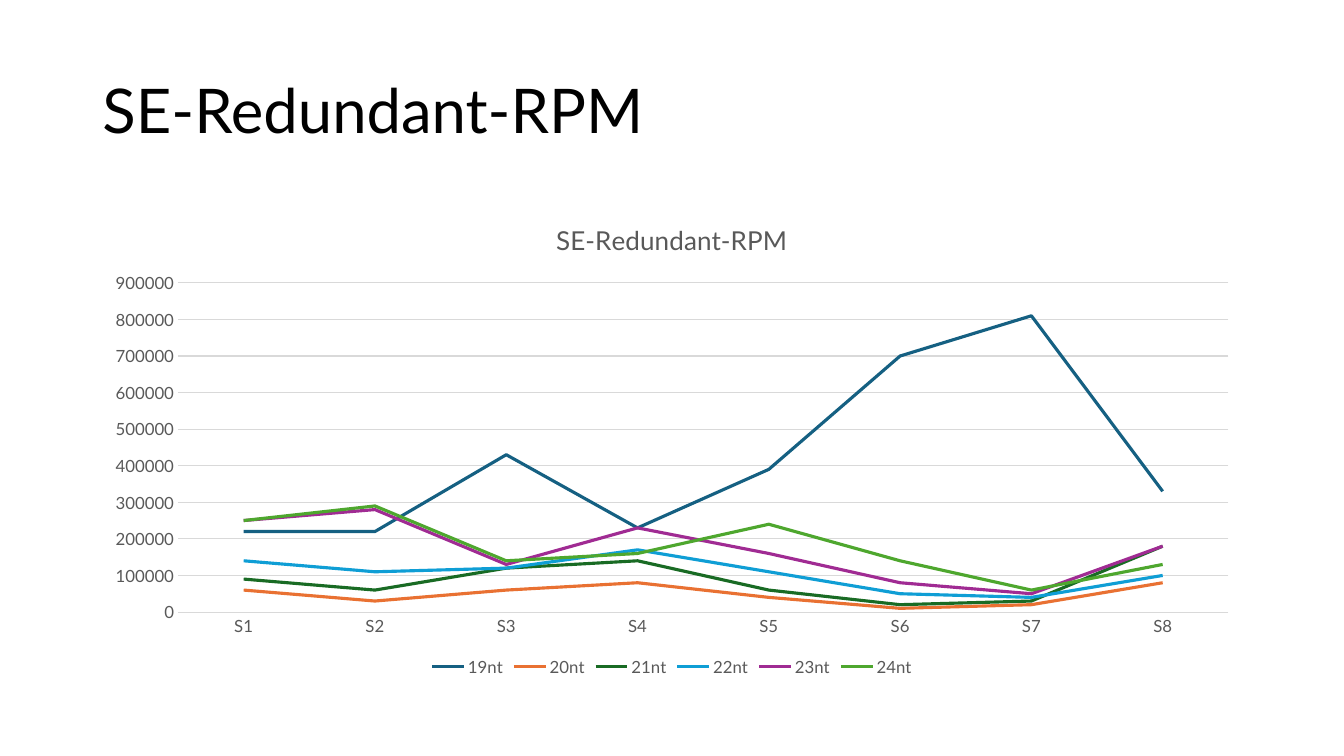
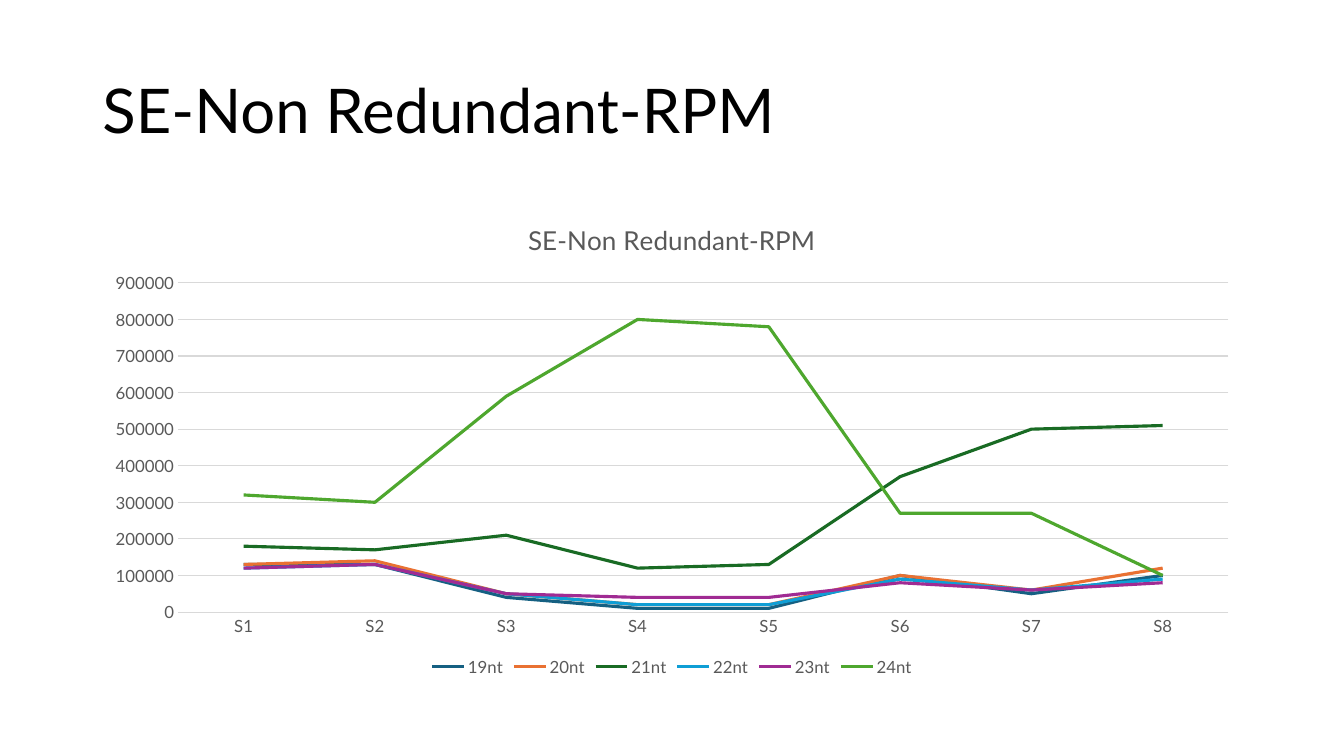
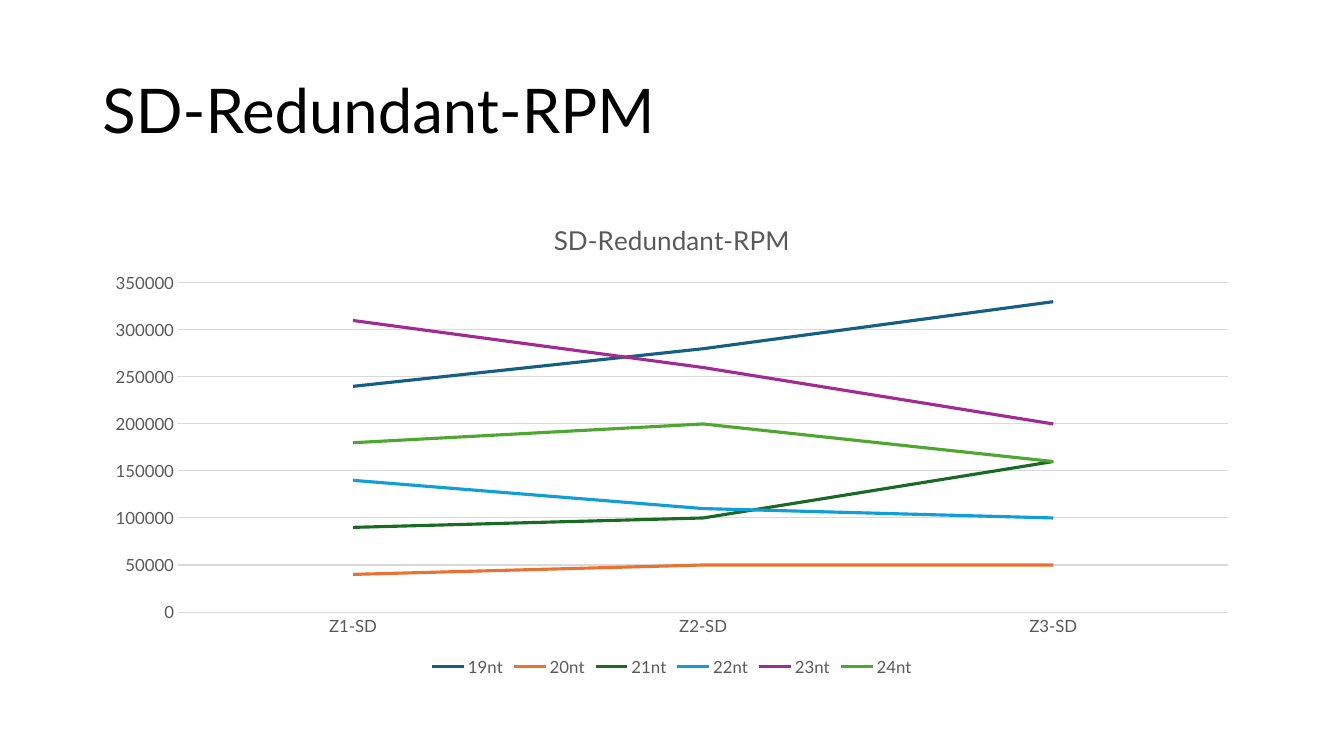
from dataclasses import dataclass

from pptx import Presentation
from pptx.chart.data import CategoryChartData
from pptx.dml.color import RGBColor
from pptx.enum.chart import XL_CHART_TYPE, XL_LEGEND_POSITION, XL_TICK_MARK
from pptx.enum.text import MSO_ANCHOR, MSO_AUTO_SIZE, PP_ALIGN
from pptx.util import Pt


@dataclass(frozen=True)
class Theme:
    font: str = "Lato"
    title_color: str = "000000"
    chart_text: str = "595959"
    grid: str = "D9D9D9"
    series: tuple = ("156082", "E97132", "196B24", "0F9ED5", "A02B93", "4EA72E")
    title_size: float = 44
    chart_title_size: float = 18.6
    label_size: float = 12
    series_width: float = 2.25
    grid_width: float = 0.75


theme = Theme()


def style_font(font, size, color):
    font.name = theme.font
    font.size = Pt(size)
    font.bold = False
    font.color.rgb = RGBColor.from_string(color)


def style_line(line, width, color):
    line.width = Pt(width)
    line.color.rgb = RGBColor.from_string(color)


# Content: title, categories, axis maximum and step, values in thousands
lengths = ["19nt", "20nt", "21nt", "22nt", "23nt", "24nt"]
samples = [f"S{number}" for number in range(1, 9)]
zones = [f"Z{number}-SD" for number in range(1, 4)]
pages = [
    ("SE-Redundant-RPM", samples, 900, 100, [
        [220, 220, 430, 230, 390, 700, 810, 330],
        [60, 30, 60, 80, 40, 10, 20, 80],
        [90, 60, 120, 140, 60, 20, 30, 180],
        [140, 110, 120, 170, 110, 50, 40, 100],
        [250, 280, 130, 230, 160, 80, 50, 180],
        [250, 290, 140, 160, 240, 140, 60, 130],
    ]),
    ("SE-Non Redundant-RPM", samples, 900, 100, [
        [130, 130, 40, 10, 10, 100, 50, 100],
        [130, 140, 50, 20, 20, 100, 60, 120],
        [180, 170, 210, 120, 130, 370, 500, 510],
        [120, 130, 50, 20, 20, 90, 60, 90],
        [120, 130, 50, 40, 40, 80, 60, 80],
        [320, 300, 590, 800, 780, 270, 270, 100],
    ]),
    ("SD-Redundant-RPM", zones, 350, 50, [
        [240, 280, 330],
        [40, 50, 50],
        [90, 100, 160],
        [140, 110, 100],
        [310, 260, 200],
        [180, 200, 160],
    ]),
]

presentation = Presentation()
presentation.slide_width, presentation.slide_height = Pt(960), Pt(540)
title_only = presentation.slide_layouts[5]
left, width = Pt(66), Pt(828)

for heading, categories, maximum, step, rows in pages:
    slide = presentation.slides.add_slide(title_only)

    # Slide title
    title = slide.shapes.title
    title.left, title.top, title.width, title.height = left, Pt(28.75), width, Pt(104.4)
    text_frame = title.text_frame
    text_frame.text = heading
    text_frame.auto_size = MSO_AUTO_SIZE.NONE
    text_frame.vertical_anchor = MSO_ANCHOR.MIDDLE
    paragraph = text_frame.paragraphs[0]
    paragraph.alignment = PP_ALIGN.LEFT
    paragraph.line_spacing = 0.9
    style_font(paragraph.runs[0].font, theme.title_size, theme.title_color)

    # Line chart
    chart_data = CategoryChartData()
    chart_data.categories = categories
    for length, row in zip(lengths, rows):
        chart_data.add_series(length, [value * 1000 for value in row])
    chart = slide.shapes.add_chart(
        XL_CHART_TYPE.LINE, left, Pt(143.75), width, Pt(342.6), chart_data
    ).chart
    style_font(chart.font, theme.label_size, theme.chart_text)
    chart.plots[0].vary_by_categories = False
    for series, color in zip(chart.plots[0].series, theme.series):
        series.smooth = False
        style_line(series.format.line, theme.series_width, color)

    # Chart title and legend
    chart.has_title = True
    chart_title = chart.chart_title.text_frame
    chart_title.text = heading
    style_font(chart_title.paragraphs[0].runs[0].font,
               theme.chart_title_size, theme.chart_text)
    chart.has_legend = True
    chart.legend.position = XL_LEGEND_POSITION.BOTTOM
    chart.legend.include_in_layout = False
    style_font(chart.legend.font, theme.label_size, theme.chart_text)

    # Axes
    for axis in (chart.category_axis, chart.value_axis):
        axis.major_tick_mark = axis.minor_tick_mark = XL_TICK_MARK.NONE
        style_font(axis.tick_labels.font, theme.label_size, theme.chart_text)
    style_line(chart.category_axis.format.line, theme.grid_width, theme.grid)
    value_axis = chart.value_axis
    value_axis.format.line.fill.background()
    value_axis.minimum_scale = 0
    value_axis.maximum_scale = maximum * 1000
    value_axis.major_unit = step * 1000
    style_line(value_axis.major_gridlines.format.line, theme.grid_width, theme.grid)

presentation.save("out.pptx")
